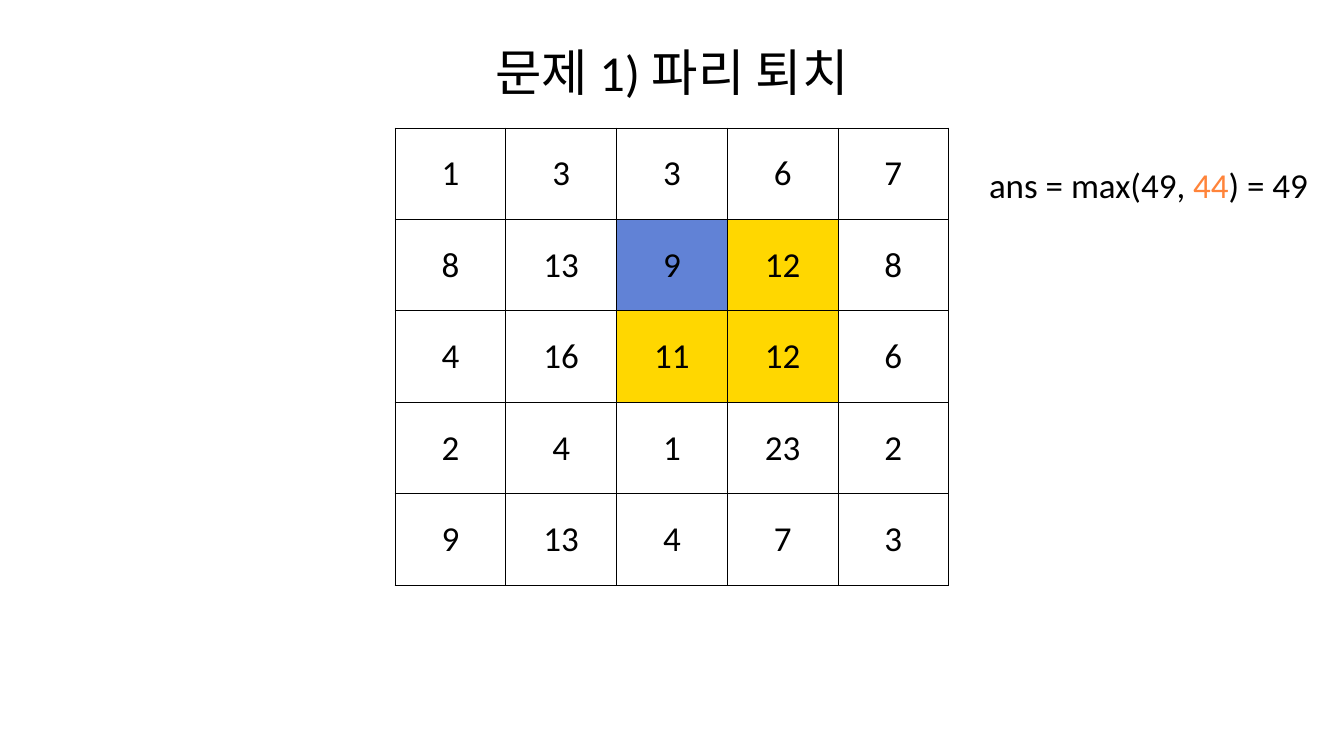
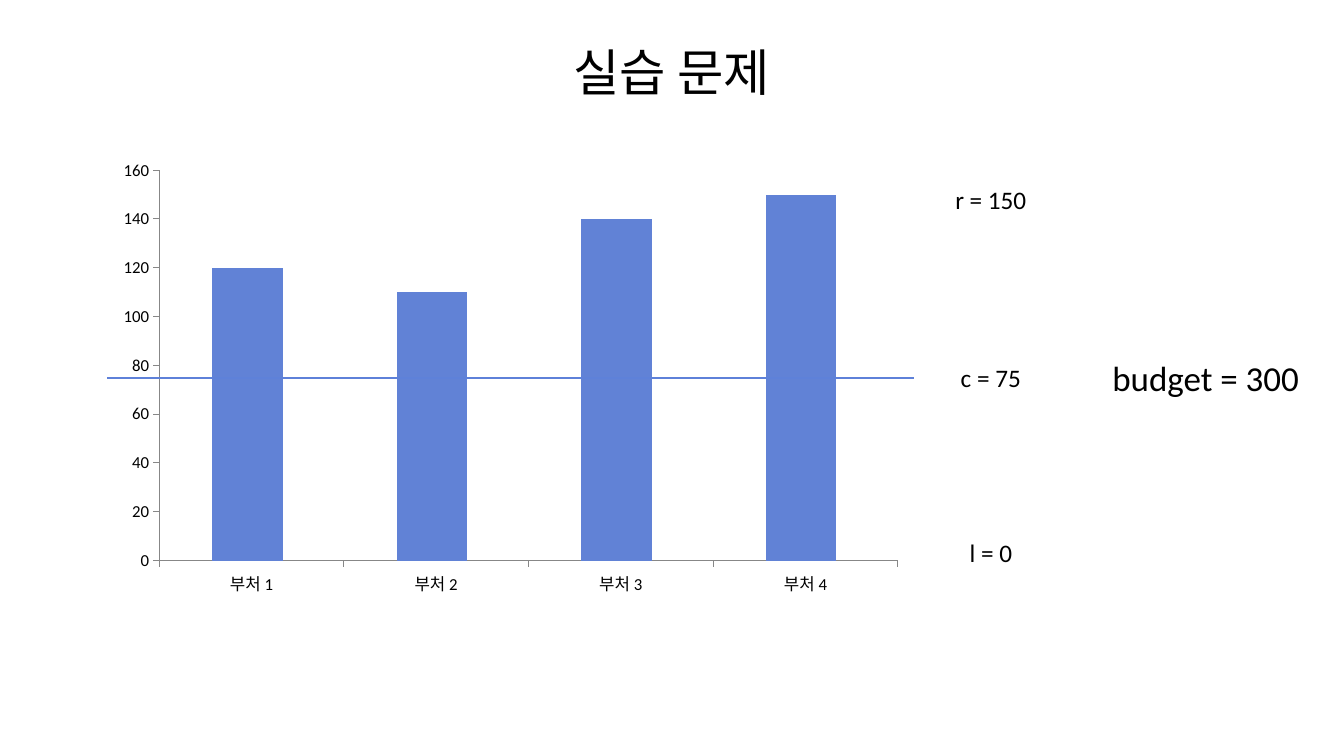
from lxml.etree import SubElement
from pptx import Presentation
from pptx.chart.data import CategoryChartData
from pptx.dml.color import RGBColor
from pptx.enum.chart import XL_CHART_TYPE, XL_TICK_MARK
from pptx.enum.shapes import MSO_CONNECTOR
from pptx.enum.text import MSO_ANCHOR, PP_ALIGN
from pptx.oxml.ns import qn
from pptx.util import Inches, Pt

COLORS = {
    "text": "000000",
    "blue": "6182D6",
    "yellow": "FFD700",
    "orange": "FF843A",
    "gray": "B2B2B2",
    "axis": "878787",
    "limit": "5E81D9",
}
FONT = "Calibri"
SLIDE_WIDTH, SLIDE_HEIGHT = Inches(13.33), Inches(7.5)
TITLE_AREA = (5, 5.33, 90, 8.27)
TITLE_SIZE, LARGE_SIZE, LABEL_SIZE, CHART_SIZE = 36, 25, 18, 12

FLY_GRID = [
    [1, 3, 3, 6, 7],
    [8, 13, 9, 12, 8],
    [4, 16, 11, 12, 6],
    [2, 4, 1, 23, 2],
    [9, 13, 4, 7, 3],
]
SWATTER_CELLS = {(1, 2): "blue", (1, 3): "yellow", (2, 2): "yellow", (2, 3): "yellow"}
REQUESTS = {"부처 1": 120, "부처 2": 110, "부처 3": 140, "부처 4": 150}
BOUNDS = {"l = 0": 70.4, "r = 150": 23.73, "c = 75": 47.33}


def color(name):
    return RGBColor.from_string(COLORS[name])


def across(percent):
    return round(SLIDE_WIDTH * percent / 100)


def down(percent):
    return round(SLIDE_HEIGHT * percent / 100)


def place(left, top, width, height):
    return across(left), down(top), across(width), down(height)


def set_font(font, size, color_name="text"):
    font.name = FONT
    font.size = Pt(size)
    font.color.rgb = color(color_name)


def write_text(frame, text, size=LARGE_SIZE, align=PP_ALIGN.CENTER, anchor=MSO_ANCHOR.TOP):
    frame.word_wrap = True
    frame.vertical_anchor = anchor
    paragraph = frame.paragraphs[0]
    paragraph.alignment = align
    parts = [(text, "text")] if isinstance(text, str) else text
    for words, color_name in parts:
        run = paragraph.add_run()
        run.text = words
        set_font(run.font, size, color_name)


def add_text(slide, area, text, **text_format):
    box = slide.shapes.add_textbox(*place(*area))
    write_text(box.text_frame, text, **text_format)


def add_titled_slide(presentation, title):
    slide = presentation.slides.add_slide(presentation.slide_layouts[6])
    add_text(slide, TITLE_AREA, title, size=TITLE_SIZE, anchor=MSO_ANCHOR.MIDDLE)
    return slide


def add_borders(cell, width=0.75):
    properties = cell._tc.get_or_add_tcPr()
    for position, side in enumerate(("a:lnL", "a:lnR", "a:lnT", "a:lnB")):
        line = properties.makeelement(qn(side), {"w": str(Pt(width))})
        fill = SubElement(line, qn("a:solidFill"))
        SubElement(fill, qn("a:srgbClr"), val=COLORS["text"])
        properties.insert(position, line)


def add_number_table(slide, area, rows, highlights):
    table = slide.shapes.add_table(len(rows), len(rows[0]), *place(*area)).table
    table.first_row = table.horz_banding = False
    for row, values in enumerate(rows):
        for column, value in enumerate(values):
            cell = table.cell(row, column)
            write_text(cell.text_frame, str(value))
            cell.vertical_anchor = MSO_ANCHOR.MIDDLE
            if (row, column) in highlights:
                cell.fill.solid()
                cell.fill.fore_color.rgb = color(highlights[row, column])
            else:
                cell.fill.background()
            add_borders(cell)


def add_request_chart(slide, area, requests):
    data = CategoryChartData()
    data.categories = list(requests)
    data.add_series("Series 1", list(requests.values()))
    for name in ("Series 2", "Series 3"):
        data.add_series(name, [None] * len(requests))
    chart = slide.shapes.add_chart(XL_CHART_TYPE.COLUMN_CLUSTERED, *place(*area), data).chart
    set_font(chart.font, CHART_SIZE)
    chart.has_legend = chart.has_title = False
    plot = chart.plots[0]
    plot.vary_by_categories = False
    plot.gap_width, plot.overlap = 150, 94
    for series, color_name in zip(plot.series, ("blue", "orange", "gray")):
        series.format.fill.solid()
        series.format.fill.fore_color.rgb = color(color_name)
    for axis in (chart.category_axis, chart.value_axis):
        axis.has_major_gridlines = False
        axis.major_tick_mark = XL_TICK_MARK.OUTSIDE
        axis.minor_tick_mark = XL_TICK_MARK.NONE
        axis.format.line.color.rgb = color("axis")
    chart.value_axis.minimum_scale, chart.value_axis.maximum_scale = 0, 160
    chart.value_axis.major_unit = 20


def add_limit_line(slide, left, right, height):
    line = slide.shapes.add_connector(
        MSO_CONNECTOR.STRAIGHT, across(left), down(height), across(right), down(height)
    )
    line.line.color.rgb = color("limit")
    line.line.width = Pt(1)
    SubElement(line._element.spPr, qn("a:effectLst"))


def build_fly_slide(presentation):
    slide = add_titled_slide(presentation, "문제 1) 파리 퇴치")
    add_number_table(slide, (29.4, 16.93, 41.2, 60.5), FLY_GRID, SWATTER_CELLS)
    answer = [("ans = max(49, ", "text"), ("44", "orange"), (") = 49", "text")]
    add_text(slide, (72.85, 20.93, 26.1, 6.8), answer, align=PP_ALIGN.LEFT)


def build_budget_slide(presentation):
    slide = add_titled_slide(presentation, "실습 문제")
    add_request_chart(slide, (8, 20, 60, 60), REQUESTS)
    for label, top in BOUNDS.items():
        add_text(slide, (69.9, top, 7.65, 5.33), label, size=LABEL_SIZE)
    add_limit_line(slide, 8, 68, 50)
    add_text(slide, (81.25, 46.53, 16.9, 6.8), "budget = 300")


def main():
    presentation = Presentation()
    presentation.slide_width, presentation.slide_height = SLIDE_WIDTH, SLIDE_HEIGHT
    build_fly_slide(presentation)
    build_budget_slide(presentation)
    presentation.save("out.pptx")


if __name__ == "__main__":
    main()
